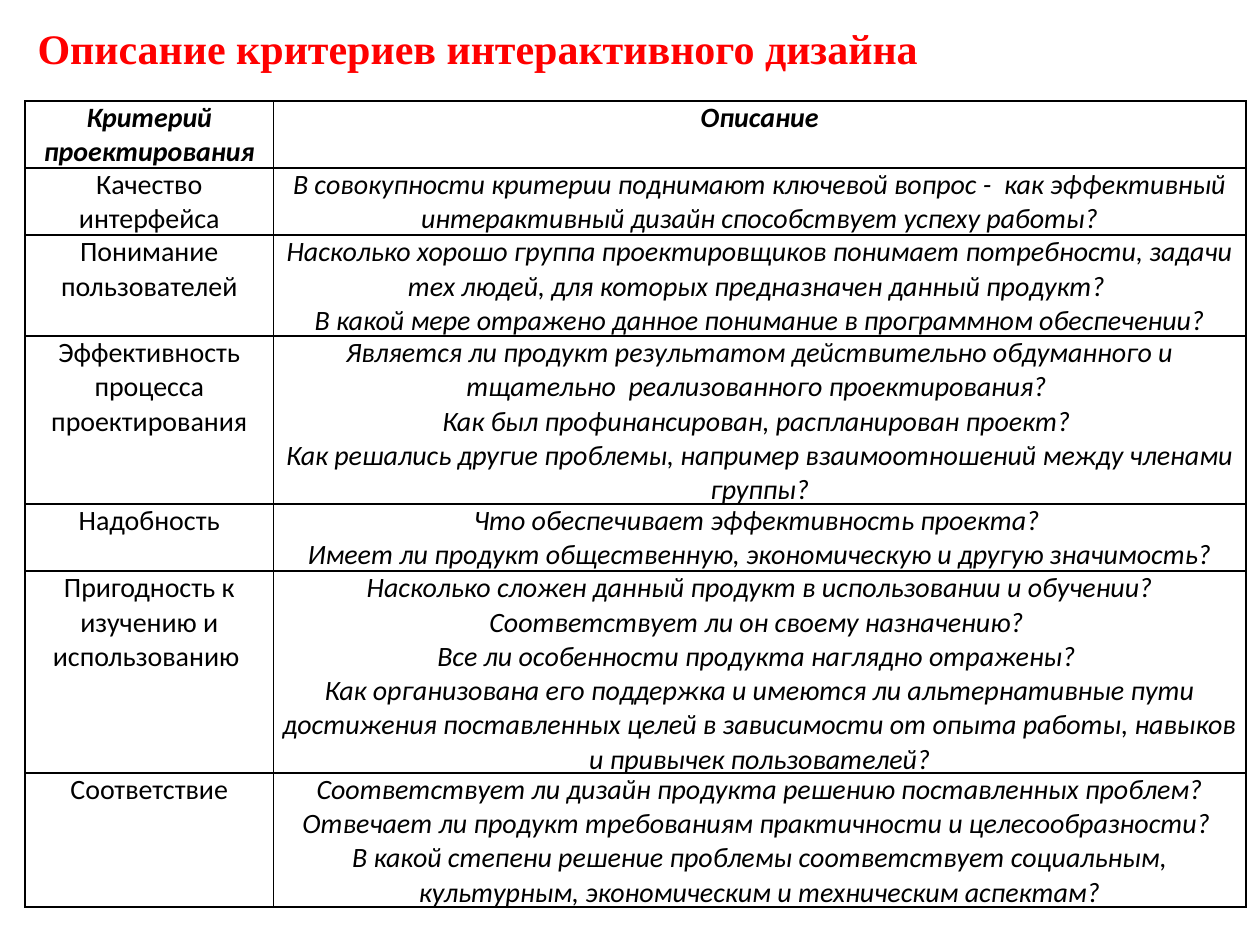
import pptx
import pptx.util
import pptx.dml.color
import pptx.enum.text
import pptx.oxml
import pptx.oxml.ns
from pptx.util import Inches

HEADER = ("Критерий проектирования", ["Описание"], 2)
CRITERIA = [
    ("Качество интерфейса", [
        "В совокупности критерии поднимают ключевой вопрос -  как эффективный интерактивный дизайн способствует успеху работы?",
    ], 2),
    ("Понимание пользователей", [
        "Насколько хорошо группа проектировщиков понимает потребности, задачи тех людей, для которых предназначен данный продукт? ",
        "В какой мере отражено данное понимание в программном обеспечении?",
    ], 3),
    ("Эффективность процесса проектирования", [
        "Является ли продукт результатом действительно обдуманного и тщательно  реализованного проектирования? ",
        "Как был профинансирован, распланирован проект? ",
        "Как решались другие проблемы, например взаимоотношений между членами группы?",
    ], 5),
    ("Надобность", [
        "Что обеспечивает эффективность проекта? ",
        "Имеет ли продукт общественную, экономическую и другую значимость?",
    ], 2),
    ("Пригодность к изучению и использованию ", [
        "Насколько сложен данный продукт в использовании и обучении? Соответствует ли он своему назначению? ",
        "Все ли особенности продукта наглядно отражены? ",
        "Как организована его поддержка и имеются ли альтернативные пути достижения поставленных целей в зависимости от опыта работы, навыков и привычек пользователей?",
    ], 6),
    ("Соответствие", [
        "Соответствует ли дизайн продукта решению поставленных проблем? Отвечает ли продукт требованиям практичности и целесообразности? ",
        "В какой степени решение проблемы соответствует социальным, культурным, экономическим и техническим аспектам?",
    ], 4),
]


def color(value):
    """Return the colour for a hex string."""
    return pptx.dml.color.RGBColor.from_string(value)


def write(tf, paragraphs, size=16, font="Calibri", fill="000000", bold=False, italic=False, align="CENTER"):
    """Write paragraphs of one format into a text frame."""
    for i, text in enumerate(paragraphs):
        p = tf.add_paragraph() if i else tf.paragraphs[0]
        p.alignment = getattr(pptx.enum.text.PP_ALIGN, align)
        r = p.add_run()
        r.text = text
        r.font.size = pptx.util.Pt(size)
        r.font.name = font
        r.font.bold = bold
        r.font.italic = italic
        r.font.color.rgb = color(fill)


def add_borders(cell, line="000000", width=1):
    """Draw a solid line on each side of a cell."""
    props = cell._tc.get_or_add_tcPr()
    for i, side in enumerate(("lnL", "lnR", "lnT", "lnB")):
        props.insert(i, pptx.oxml.parse_xml(
            f'<a:{side} {pptx.oxml.ns.nsdecls("a")} w="{pptx.util.Pt(width)}">'
            f'<a:solidFill><a:srgbClr val="{line}"/></a:solidFill></a:{side}>'))


def add_title(s, x, y, w, h):
    """Place the slide heading in its box."""
    tf = s.shapes.add_textbox(Inches(x), Inches(y), Inches(w), Inches(h)).text_frame
    tf.word_wrap = False
    tf.auto_size = pptx.enum.text.MSO_AUTO_SIZE.SHAPE_TO_FIT_TEXT
    write(tf, ["Описание критериев интерактивного дизайна"], size=24,
          font="Times New Roman", fill="FF0000", bold=True, align="LEFT")


def add_criteria_table(s, x, y, w, h, name_width=1.97):
    """Place the table of criteria, with row heights shared by line count."""
    rows = [HEADER] + CRITERIA
    table = s.shapes.add_table(len(rows), 2, Inches(x), Inches(y), Inches(w), Inches(h)).table
    table.horz_banding = False
    table.columns[0].width = Inches(name_width)
    table.columns[1].width = Inches(w - name_width)
    total = sum(lines for _, _, lines in rows)
    for i, (name, description, lines) in enumerate(rows):
        table.rows[i].height = Inches(h * lines / total)
        for j, paragraphs in enumerate(([name], description)):
            cell = table.cell(i, j)
            cell.margin_left = cell.margin_right = cell.margin_top = cell.margin_bottom = 0
            cell.fill.background()
            add_borders(cell)
            write(cell.text_frame, paragraphs, bold=i == 0, italic=i == 0 or j == 1)


def main():
    """Build the slide and save it."""
    prs = pptx.Presentation()
    prs.slide_width, prs.slide_height = Inches(10), Inches(7.5)
    s = prs.slides.add_slide(prs.slide_layouts[6])
    add_title(s, 0.2, 0.13, 7.26, 0.5)
    add_criteria_table(s, 0.2, 0.8, 9.69, 6.4)
    prs.save("out.pptx")


if __name__ == "__main__":
    main()
